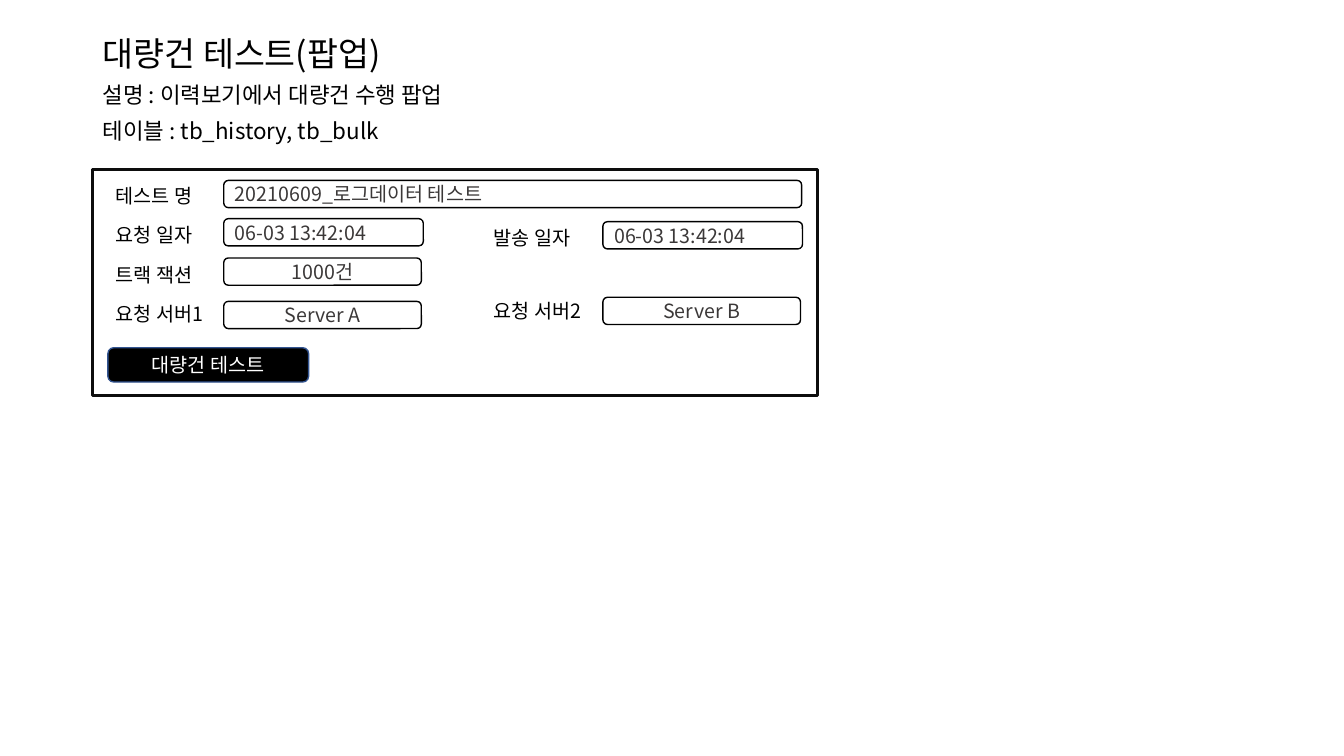
from dataclasses import dataclass

import pptx
import pptx.dml.color
import pptx.enum.shapes
import pptx.enum.text
import pptx.oxml.ns
import pptx.oxml.xmlchemy
import pptx.util

SHAPE = pptx.enum.shapes.MSO_SHAPE
ALIGN = pptx.enum.text.PP_ALIGN
ANCHOR = pptx.enum.text.MSO_ANCHOR


@dataclass(frozen=True)
class Theme:
    font: str = "Noto Sans CJK KR"
    black: str = "000000"
    white: str = "FFFFFF"
    panel_line: str = "0D0D0D"
    button_line: str = "325491"
    value: str = "3B3838"
    title_size: int = 24
    note_size: int = 16
    form_size: int = 14


class PopupSlide:
    def __init__(self, deck, theme):
        self.deck = deck
        self.theme = theme
        self.slide = deck.slides.add_slide(deck.slide_layouts[5])

    def place(self, left, top, width, height):
        wide, high = self.deck.slide_width, self.deck.slide_height
        return [round(share * side / 100) for share, side in
                ((left, wide), (top, high), (width, wide), (height, high))]

    def color(self, value):
        return pptx.dml.color.RGBColor.from_string(value)

    def format_para(self, para, size, color, align=ALIGN.LEFT):
        para.alignment = align
        for span in para.runs:
            span.font.name = self.theme.font
            span.font.size = pptx.util.Pt(size)
            span.font.color.rgb = self.color(color)
            properties = span.font._element
            east_asian = pptx.oxml.xmlchemy.OxmlElement("a:ea")
            east_asian.set("typeface", self.theme.font)
            properties.find(pptx.oxml.ns.qn("a:latin")).addnext(east_asian)

    def heading(self, area, title, notes):
        box = self.slide.shapes.title
        box.left, box.top, box.width, box.height = self.place(*area)
        frame = box.text_frame
        frame.text = "\n".join([title, *notes])
        frame.word_wrap = True
        frame.auto_size = pptx.enum.text.MSO_AUTO_SIZE.NONE
        frame.vertical_anchor = ANCHOR.TOP
        for index, para in enumerate(frame.paragraphs):
            para.line_spacing = 0.8
            para.space_before = pptx.util.Pt(10)
            size = self.theme.note_size if index else self.theme.title_size
            self.format_para(para, size, self.theme.black)

    def box(self, kind, area, line, weight, fill=None):
        shape = self.slide.shapes.add_shape(kind, *self.place(*area))
        shape.shadow.inherit = False
        shape.line.color.rgb = self.color(line)
        shape.line.width = pptx.util.Pt(weight)
        if fill:
            shape.fill.solid()
            shape.fill.fore_color.rgb = self.color(fill)
        else:
            shape.fill.background()
        return shape

    def panel(self, area):
        self.box(SHAPE.FLOWCHART_PROCESS, area, self.theme.panel_line, 2.25, self.theme.white)

    def rounded(self, area, text, align, color, line, fill=None):
        frame = self.box(SHAPE.ROUNDED_RECTANGLE, area, line, 1, fill).text_frame
        frame.text = text
        frame.vertical_anchor = ANCHOR.MIDDLE
        self.format_para(frame.paragraphs[0], self.theme.form_size, color, align)

    def field(self, area, text, align):
        self.rounded(area, text, align, self.theme.value, self.theme.black)

    def button(self, area, text):
        self.rounded(area, text, ALIGN.CENTER, self.theme.white,
                     self.theme.button_line, self.theme.black)

    def label(self, area, text):
        frame = self.slide.shapes.add_textbox(*self.place(*area)).text_frame
        frame.word_wrap = True
        frame.text = text
        self.format_para(frame.paragraphs[0], self.theme.form_size, self.theme.black)


LABEL_HEIGHT, LABEL_WIDTH = 4.53, 10.4
FIELD_HEIGHT = 3.6
FULL, DATE, SHORT = 43, 14.85, 14.7
LEFT_COLUMN, RIGHT_COLUMN = (7.88, 16.65), (36, 44.86)

FORM_ROWS = [
    (LEFT_COLUMN, 23.73, "테스트 명", 23.87, FULL, "20210609_로그데이터 테스트", ALIGN.LEFT),
    (LEFT_COLUMN, 28.8, "요청 일자", 28.93, DATE, "06-03 13:42:04", ALIGN.LEFT),
    (RIGHT_COLUMN, 29.2, "발송 일자", 29.33, DATE, "06-03 13:42:04", ALIGN.LEFT),
    (LEFT_COLUMN, 34.13, "트랙 잭션", 34.13, SHORT, "1000건", ALIGN.CENTER),
    (LEFT_COLUMN, 39.33, "요청 서버1", 39.87, SHORT, "Server A", ALIGN.CENTER),
    (RIGHT_COLUMN, 38.93, "요청 서버2", 39.33, SHORT, "Server B", ALIGN.CENTER),
]

deck = pptx.Presentation()
deck.slide_width = pptx.util.Inches(13.33)
deck.slide_height = pptx.util.Inches(7.5)

page = PopupSlide(deck, Theme())
page.panel((6.9, 22.4, 53.94, 29.87))
page.heading((6.9, 4.67, 75, 15.87), "대량건 테스트(팝업)",
             ["설명 : 이력보기에서 대량건 수행 팝업", "테이블 : tb_history, tb_bulk"])
for (label_left, field_left), label_top, name, field_top, width, value, align in FORM_ROWS:
    page.field((field_left, field_top, width, FIELD_HEIGHT), value, align)
    page.label((label_left, label_top, LABEL_WIDTH, LABEL_HEIGHT), name)
page.button((8.03, 46, 14.93, 4.53), "대량건 테스트")

deck.save("out.pptx")
